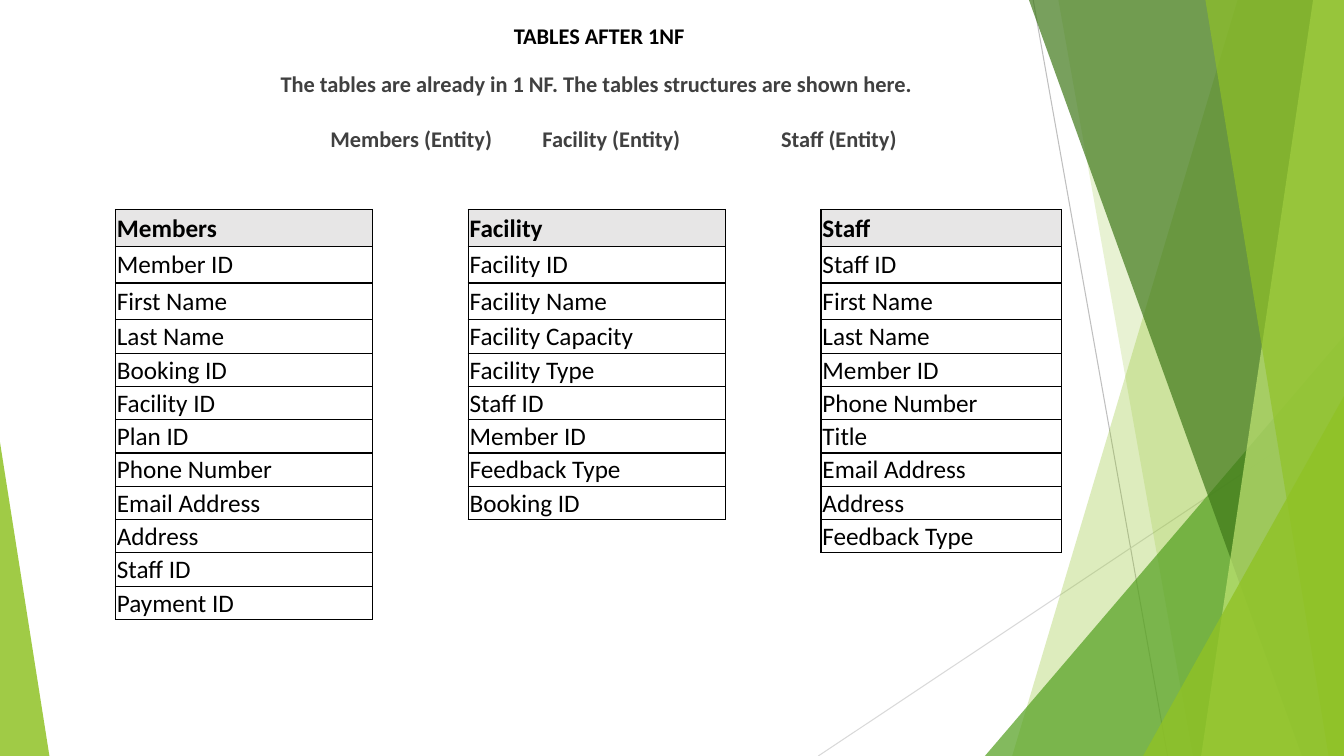
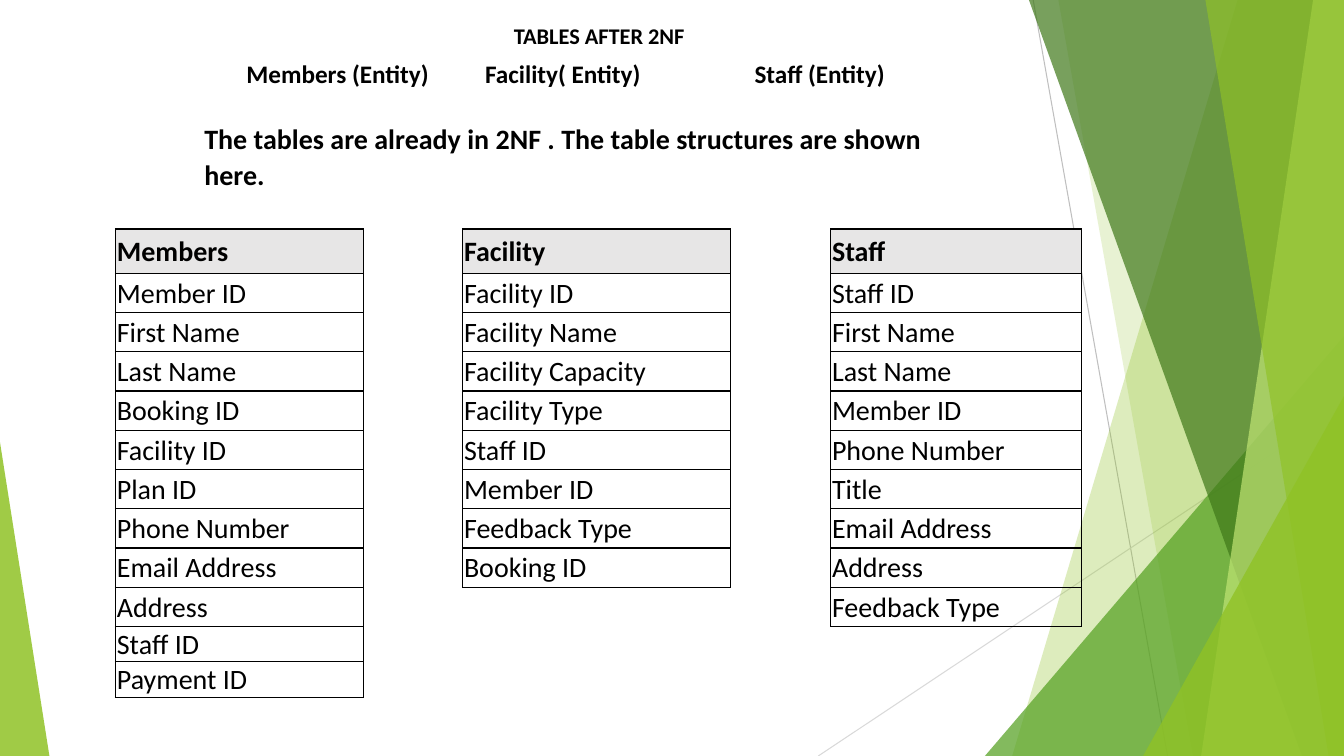
import itertools

import pptx
import pptx.dml.color
import pptx.enum.shapes
import pptx.enum.text
import pptx.oxml
import pptx.oxml.ns
import pptx.util

Pt = pptx.util.Pt
qn = pptx.oxml.ns.qn
ALIGN = pptx.enum.text.PP_ALIGN
ANCHOR = pptx.enum.text.MSO_ANCHOR
SHAPES = pptx.enum.shapes
WIDTH, HEIGHT = 960, 540
NO_STYLE = "{2D5ABB26-0587-4C30-8999-92F81FD0307C}"
XMLNS = pptx.oxml.ns.nsdecls("a")
COLORS = {
    "black": "000000", "text": "404040", "header": "E7E6E6",
    "line": "BFBFBF", "pale_line": "D9D9D9",
    "green": "90C226", "mid": "54A021", "dark": "3F7819", "light": "C0E474",
}
ENTITIES = {
    "Members": ["Member ID", "First Name", "Last Name", "Booking ID", "Facility ID", "Plan ID",
                "Phone Number", "Email Address", "Address", "Staff ID", "Payment ID"],
    "Facility": ["Facility ID", "Facility Name", "Facility Capacity", "Facility Type", "Staff ID",
                 "Member ID", "Feedback Type", "Booking ID"],
    "Staff": ["Staff ID", "First Name", "Last Name", "Member ID", "Phone Number", "Title",
              "Email Address", "Address", "Feedback Type"],
}


def rgb(name):
    return pptx.dml.color.RGBColor.from_string(COLORS[name])


def write(tf, text, size=16, bold=True, color="black", align=ALIGN.LEFT, spacing=None, after=0, tabs=()):
    p = tf.paragraphs[0]
    p.alignment = align
    p.line_spacing = spacing
    p.space_before = Pt(0)
    p.space_after = Pt(after)
    if tabs:
        stops = "".join(f'<a:tab pos="{Pt(x)}" algn="l"/>' for x in tabs)
        p._p.get_or_add_pPr().append(pptx.oxml.parse_xml(f"<a:tabLst {XMLNS}>{stops}</a:tabLst>"))
    r = p.add_run()
    r.text = text
    r.font.name = "Calibri"
    r.font.size = Pt(size)
    r.font.bold = bold
    r.font.color.rgb = rgb(color)


def set_borders(cell, sides):
    tcPr = cell._tc.get_or_add_tcPr()
    for side in "LRTB":
        if side in sides:
            fill = f'<a:solidFill><a:srgbClr val="{COLORS["black"]}"/></a:solidFill>'
        else:
            fill = "<a:noFill/>"
        tcPr.append(pptx.oxml.parse_xml(f'<a:ln{side} {XMLNS} w="12700">{fill}</a:ln{side}>'))


class Deck:
    def __init__(self):
        self.prs = pptx.Presentation()
        self.prs.slide_width, self.prs.slide_height = Pt(WIDTH), Pt(HEIGHT)
        self.s = None

    def slide(self, title):
        self.s = self.prs.slides.add_slide(self.prs.slide_layouts[5])
        sp = self.s.shapes.title
        sp.left, sp.top, sp.width, sp.height = Pt(327), Pt(11), Pt(202), Pt(40)
        tf = sp.text_frame
        tf.auto_size = pptx.enum.text.MSO_AUTO_SIZE.NONE
        tf.word_wrap = True
        tf.vertical_anchor = ANCHOR.TOP
        write(tf, title, align=ALIGN.CENTER, spacing=1.07, after=8)

    def paint(self, sp, color, opacity):
        sp.shadow.inherit = False
        sp.fill.solid()
        sp.fill.fore_color.rgb = rgb(color)
        sp.line.fill.background()
        clr = sp._element.spPr.find(".//" + qn("a:srgbClr"))
        clr.append(pptx.oxml.parse_xml(f'<a:alpha {XMLNS} val="{opacity * 1000}"/>'))
        return sp

    def line(self, x1, y1, x2, y2, color):
        c = self.s.shapes.add_connector(SHAPES.MSO_CONNECTOR.STRAIGHT, Pt(x1), Pt(y1), Pt(x2), Pt(y2))
        c.line.color.rgb = rgb(color)
        c.line.width = Pt(0.75)
        c._element.spPr.append(pptx.oxml.parse_xml(f"<a:effectLst {XMLNS}/>"))
        return c

    def panel(self, top_x, bottom_x, color, opacity):
        fb = self.s.shapes.build_freeform(Pt(top_x), 0)
        corners = [(WIDTH, 0), (WIDTH, HEIGHT), (bottom_x, HEIGHT)]
        fb.add_line_segments([(Pt(x), Pt(y)) for x, y in corners], close=True)
        return self.paint(fb.convert_to_shape(), color, opacity)

    def triangle(self, x, y, w, apex, color, opacity):
        sp = self.s.shapes.add_shape(SHAPES.MSO_SHAPE.ISOSCELES_TRIANGLE,
                                     Pt(x), Pt(y), Pt(w), Pt(HEIGHT - y))
        sp.adjustments[0] = apex
        return self.paint(sp, color, opacity)

    def master_art(self):
        art = [
            self.line(738, 0, 834, HEIGHT, "line"),
            self.line(WIDTH, 290, 584.5, HEIGHT, "pale_line"),
            self.panel(884, 723, "green", 30),
            self.panel(756, 852, "green", 20),
            self.triangle(703.5, 240, 256.5, 1, "mid", 72),
            self.panel(735, 930, "dark", 70),
            self.panel(938, 858, "light", 70),
            self.panel(861, 949, "green", 65),
            self.triangle(816.5, 283, 143.5, 1, "green", 80),
            self.triangle(0, 316, 35.3, 0, "green", 85),
        ]
        tree = self.prs.slide_master.shapes._spTree
        for i, sp in enumerate(art):
            sp._element.xpath(".//p:cNvPr")[0].set("id", str(100 + i))
            tree.insert(2 + i, sp._element)

    def text(self, text, x, y, w, h, **fmt):
        tf = self.s.shapes.add_textbox(Pt(x), Pt(y), Pt(w), Pt(h)).text_frame
        tf.word_wrap = True
        write(tf, text, **fmt)

    def table(self, x, y, cols, rows):
        frame = self.s.shapes.add_table(len(rows), len(cols), Pt(x), Pt(y), Pt(sum(cols)), Pt(sum(rows)))
        t = frame.table
        t.first_row = t.horz_banding = False
        t._tbl.tblPr.find(qn("a:tableStyleId")).text = NO_STYLE
        for col, w in zip(t.columns, cols):
            col.width = Pt(w)
        for row, h in zip(t.rows, rows):
            row.height = Pt(h)
        for cell in t.iter_cells():
            cell.margin_left = cell.margin_right = cell.margin_top = Pt(1)
            cell.margin_bottom = 0
            cell.vertical_anchor = ANCHOR.MIDDLE
            cell.text_frame.paragraphs[0]._p.get_or_add_endParaRPr().set("sz", "1200")
        return t

    def captions(self, x, y, w, rows):
        t = self.table(x, y, [w], rows)
        for cell in t.iter_cells():
            cell.fill.background()
        return t

    def entities(self, x, y, cols, rows, size):
        t = self.table(x, y, cols, rows)
        texts = {(r, 2 * c): text
                 for c, (name, fields) in enumerate(ENTITIES.items())
                 for r, text in enumerate([name] + fields)}
        for r, c in itertools.product(range(len(rows)), range(len(cols))):
            cell = t.cell(r, c)
            near = {"L": (r, c - 1), "R": (r, c + 1), "T": (r - 1, c), "B": (r + 1, c)}
            set_borders(cell, [k for k, pos in near.items() if (r, c) in texts or pos in texts])
            cell.fill.background()
            if (r, c) in texts:
                write(cell.text_frame, texts[r, c], size=size, bold=r == 0)
                if r == 0:
                    cell.fill.solid()
                    cell.fill.fore_color.rgb = rgb("header")


def main():
    d = Deck()
    d.slide("TABLES AFTER 1NF")
    d.master_art()
    t = d.captions(112, 50, 628, [20.5, 18.5, 20.5])
    write(t.cell(0, 0).text_frame, "The tables are already in 1 NF. The tables structures are shown here.",
          color="text", align=ALIGN.CENTER)
    t.cell(2, 0).margin_left = Pt(124)
    write(t.cell(2, 0).text_frame, "Members (Entity)\tFacility (Entity)\tStaff (Entity)",
          color="text", tabs=(151.5, 322))
    d.entities(82.5, 149.6, [183.6, 68.4, 183.6, 68.4, 172], [26.3] * 3 + [23.8] * 9, 18)

    d.slide("TABLES AFTER 2NF")
    t = d.captions(175, 41.5, 535.5, [23, 19.5, 19.5])
    write(t.cell(0, 0).text_frame, "Members (Entity)\tFacility( Entity)\tStaff (Entity)",
          size=18, tabs=(170.5, 363))
    d.text("The tables are already in 2NF . The table structures are shown here.",
           138.8, 81.5, 572.5, 58, size=20, spacing=1.07, after=8)
    d.entities(82.5, 163.6, [177, 71, 191.5, 71.4, 179.1], [31.6] + [28.05] * 9 + [25.3] * 2, 20)
    d.prs.save("out.pptx")


if __name__ == "__main__":
    main()
